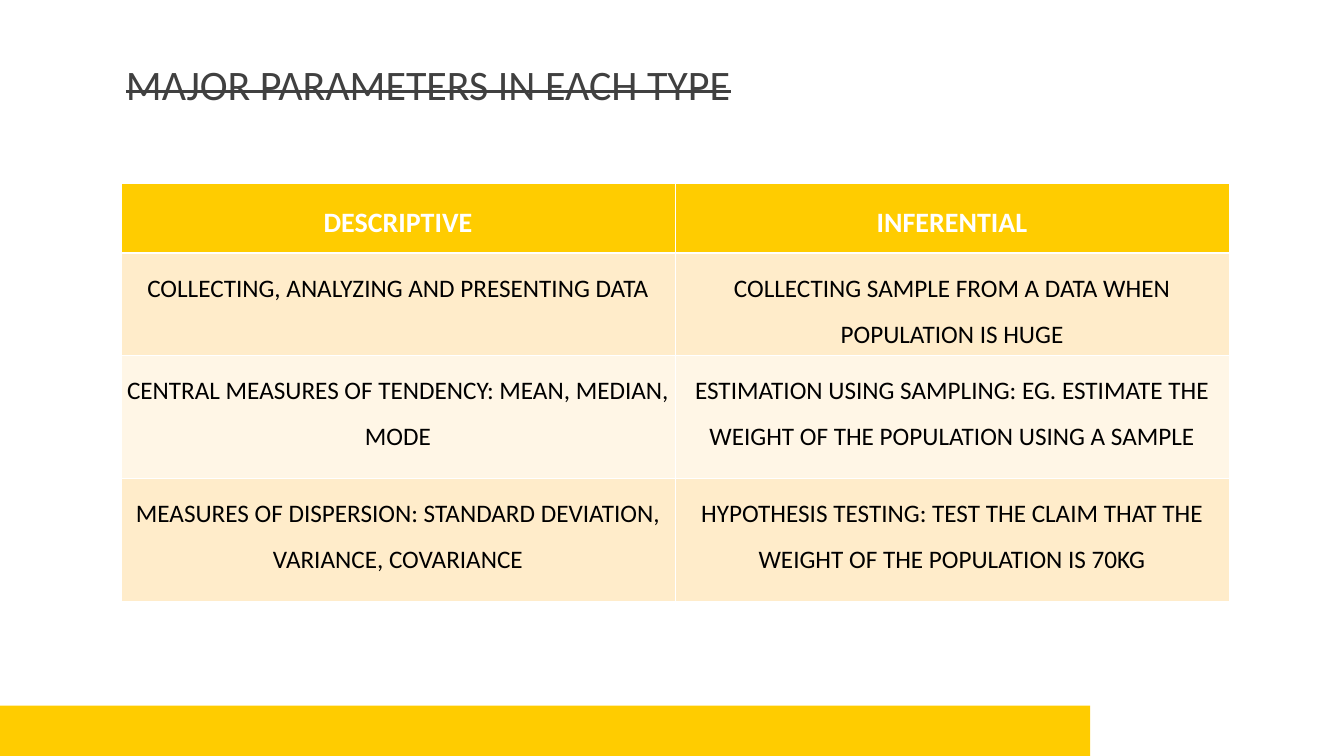
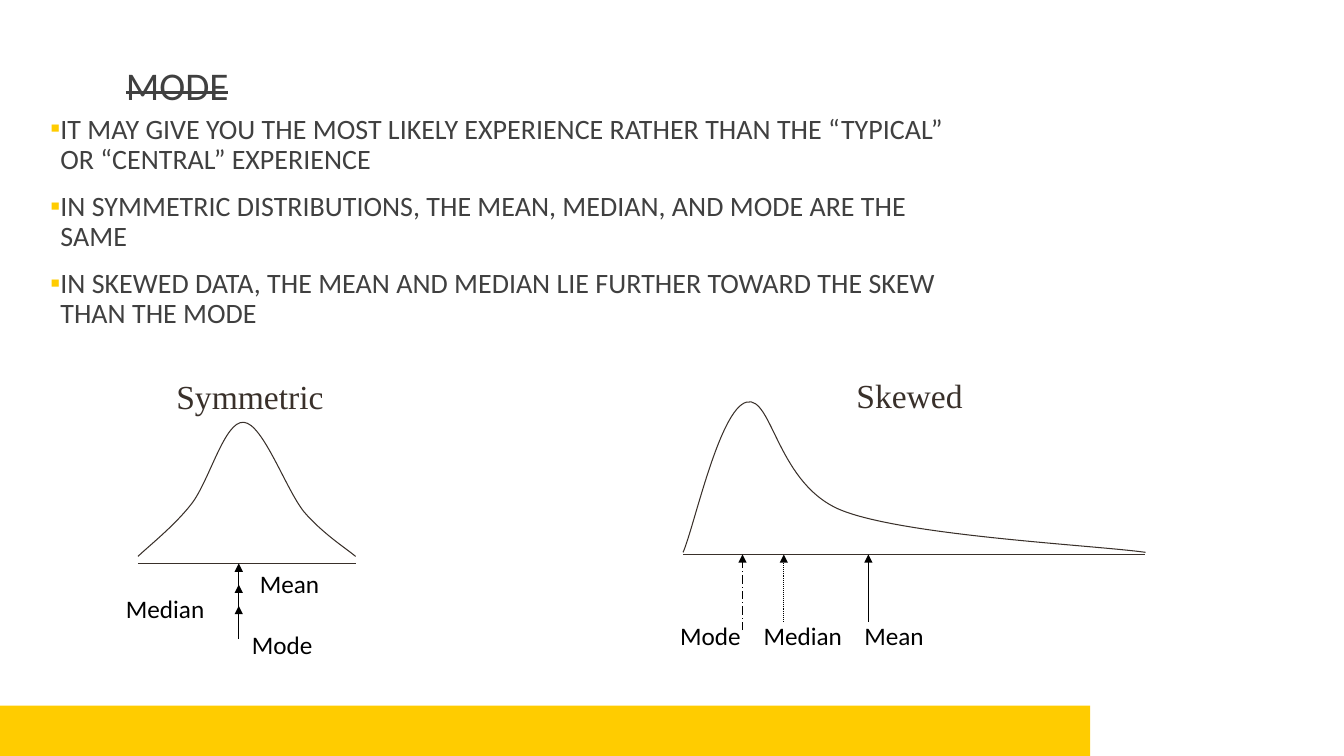
from dataclasses import dataclass

from lxml import etree
from pptx import Presentation
from pptx.dml.color import RGBColor
from pptx.enum.dml import MSO_LINE
from pptx.enum.shapes import MSO_CONNECTOR, MSO_SHAPE
from pptx.enum.text import MSO_ANCHOR, MSO_AUTO_SIZE, PP_ALIGN
from pptx.oxml.ns import qn
from pptx.util import Inches, Pt

STRAIGHT, RECTANGLE = MSO_CONNECTOR.STRAIGHT, MSO_SHAPE.RECTANGLE
DOTTED, DASH_DOT = MSO_LINE.ROUND_DOT, MSO_LINE.LONG_DASH_DOT
LEFT, CENTER = PP_ALIGN.LEFT, PP_ALIGN.CENTER
BOTTOM = MSO_ANCHOR.BOTTOM
NO_FIT = MSO_AUTO_SIZE.NONE


@dataclass(frozen=True)
class Theme:
    accent: str = "FFCC00"
    ink: str = "404040"
    curve: str = "39302A"
    black: str = "000000"
    white: str = "FFFFFF"
    row_tints: tuple = ("FFF6E6", "FFECCA")
    font: str = "Calibri"
    heading_font: str = "Times New Roman"
    body_size: int = 20
    label_size: int = 18
    heading_size: int = 24
    line_width: float = 0.75


theme = Theme()


def write(frame, text, size, color, font=theme.font, align=LEFT, spacing=1.0):
    """Fill a text frame with one paragraph and return it."""
    frame.word_wrap = True
    frame.margin_left = frame.margin_right = Inches(0.05)
    frame.margin_top = frame.margin_bottom = Inches(0.05)
    para = frame.paragraphs[0]
    para.text = text
    para.alignment, para.line_spacing = align, spacing
    para.font.size, para.font.name = Pt(size), font
    para.font.color.rgb = RGBColor.from_string(color)
    return para


def draw_line(page, start, end, color, dash=None, arrow=False):
    """Draw a straight line, with an arrowhead at its end if asked."""
    line = page.shapes.add_connector(STRAIGHT, *map(Inches, start + end))
    line.line.color.rgb = RGBColor.from_string(color)
    line.line.width = Pt(theme.line_width)
    if dash is not None:
        line.line.dash_style = dash
    properties = line.element.spPr
    if arrow:
        etree.SubElement(properties.find(qn("a:ln")), qn("a:tailEnd"), type="triangle")
    etree.SubElement(properties, qn("a:effectLst"))


deck = Presentation()
deck.slide_width, deck.slide_height = Inches(13.34), Inches(7.5)
title_only = deck.slide_layouts[5]

# Pages with their struck-through titles
pages = []
for title_text, title_size in (("MAJOR PARAMETERS IN EACH TYPE", 30), ("MODE", 28)):
    page = deck.slides.add_slide(title_only)
    title = page.shapes.title
    title.left, title.top, title.width, title.height = map(Inches, (1.2, 0.31, 11, 0.82))
    title.text_frame.auto_size = NO_FIT
    title.text_frame.vertical_anchor = BOTTOM
    para = write(title.text_frame, title_text, title_size, theme.ink, spacing=0.85)
    para.font._element.set("strike", "sngStrike")
    pages.append(page)
table_page, mode_page = pages

# Bottom band, moved to the layout that both pages use
band = table_page.shapes.add_shape(RECTANGLE, 0, Inches(7), Inches(10.82), Inches(0.5))
band.shadow.inherit = False
band.fill.solid()
band.fill.fore_color.rgb = RGBColor.from_string(theme.accent)
band.line.fill.background()
title_only.shapes.element.insert(2, band.element)

# Comparison table
ROWS = [
    ("DESCRIPTIVE", "INFERENTIAL"),
    ("COLLECTING, ANALYZING AND PRESENTING DATA",
     "COLLECTING SAMPLE FROM A DATA WHEN POPULATION IS HUGE"),
    ("CENTRAL MEASURES OF TENDENCY: MEAN, MEDIAN, MODE",
     "ESTIMATION USING SAMPLING: EG. ESTIMATE THE WEIGHT OF THE POPULATION USING A SAMPLE"),
    ("MEASURES OF DISPERSION: STANDARD DEVIATION, VARIANCE, COVARIANCE",
     "HYPOTHESIS TESTING: TEST THE CLAIM THAT THE WEIGHT OF THE POPULATION IS 70KG"),
]
ROW_HEIGHTS = (0.69, 1, 1.22, 1.22)
table = table_page.shapes.add_table(
    len(ROWS), 2, Inches(1.2), Inches(1.82), Inches(11), Inches(sum(ROW_HEIGHTS))).table
for row_index, (texts, height) in enumerate(zip(ROWS, ROW_HEIGHTS)):
    table.rows[row_index].height = Inches(height)
    header = row_index == 0
    for column_index, text in enumerate(texts):
        cell = table.cell(row_index, column_index)
        cell.margin_left = cell.margin_right = Inches(0.05)
        cell.margin_top = cell.margin_bottom = Inches(0.05)
        para = write(cell.text_frame, text,
                     theme.body_size if header else theme.label_size,
                     theme.white if header else theme.black, align=CENTER, spacing=1.5)
        para.font.bold = header
        cell.fill.solid()
        cell.fill.fore_color.rgb = RGBColor.from_string(
            theme.accent if header else theme.row_tints[row_index % 2])
        # White borders, heavier below the header
        heavy_side = {0: "lnB", 1: "lnT"}.get(row_index)
        for position, side in enumerate(("lnL", "lnR", "lnT", "lnB")):
            width = Pt(1.47 if side == heavy_side else 0.45)
            border = etree.Element(qn(f"a:{side}"), w=str(width))
            fill = etree.SubElement(border, qn("a:solidFill"))
            etree.SubElement(fill, qn("a:srgbClr"), val=theme.white)
            cell._tc.get_or_add_tcPr().insert(position, border)

# Bullets
BULLETS = [
    "IT MAY GIVE YOU THE MOST LIKELY EXPERIENCE RATHER THAN THE “TYPICAL” OR “CENTRAL” EXPERIENCE",
    "IN SYMMETRIC DISTRIBUTIONS, THE MEAN, MEDIAN, AND MODE ARE THE SAME",
    "IN SKEWED DATA, THE MEAN AND MEDIAN LIE FURTHER TOWARD THE SKEW THAN THE MODE",
]
box = mode_page.shapes.add_textbox(Inches(0.5), Inches(1.14), Inches(9), Inches(4.82))
frame = box.text_frame
frame.word_wrap = True
frame.margin_left = frame.margin_right = frame.margin_top = frame.margin_bottom = 0
for index, text in enumerate(BULLETS):
    para = frame.add_paragraph() if index else frame.paragraphs[0]
    para.text = text
    para.line_spacing = 0.9
    if index:
        para.space_before = Pt(12)
    properties = para._p.get_or_add_pPr()
    properties.set("marL", str(Inches(0.1)))
    properties.set("indent", str(Inches(-0.1)))
    bullet_color = etree.SubElement(properties, qn("a:buClr"))
    etree.SubElement(bullet_color, qn("a:srgbClr"), val=theme.accent)
    etree.SubElement(properties, qn("a:buFont"), typeface=theme.font)
    etree.SubElement(properties, qn("a:buChar"), char="▪")
    para.font.size, para.font.name = Pt(theme.body_size), theme.font
    para.font.color.rgb = RGBColor.from_string(theme.ink)

# Distribution curves: a start point, then cubic segments (two controls and an end)
SYMMETRIC = [(1.37, 5.52),
             (1.45, 5.44), (1.73, 5.22), (1.9, 5),
             (2.08, 4.77), (2.23, 4.17), (2.42, 4.19),
             (2.61, 4.2), (2.84, 4.86), (3.02, 5.08),
             (3.21, 5.3), (3.45, 5.45), (3.53, 5.52)]
SKEWED = [(6.78, 5.48),
          (6.89, 5.23), (7.14, 4.06), (7.41, 3.99),
          (7.67, 3.92), (7.71, 4.82), (8.37, 5.07),
          (9.03, 5.32), (10.87, 5.41), (11.37, 5.48)]
for knots, axis_y in ((SYMMETRIC, 5.59), (SKEWED, 5.5)):
    builder = mode_page.shapes.build_freeform(*map(Inches, knots[0]))
    builder.add_line_segments([tuple(map(Inches, knot)) for knot in knots[1:]], close=False)
    curve = builder.convert_to_shape()
    # Turn every three straight segments into one cubic segment
    segments = list(curve.element.iter(qn("a:lnTo")))
    outline = segments[0].getparent()
    for first in range(0, len(segments), 3):
        cubic = etree.SubElement(outline, qn("a:cubicBezTo"))
        for segment in segments[first:first + 3]:
            cubic.append(segment[0])
            outline.remove(segment)
    curve.shadow.inherit = False
    curve.fill.background()
    curve.line.color.rgb = RGBColor.from_string(theme.curve)
    curve.line.width = Pt(theme.line_width)
    draw_line(mode_page, (knots[0][0], axis_y), (knots[-1][0], axis_y), theme.curve)

# Arrows to the axes: x, from y, to y, dash
ARROWS = [
    (2.37, 5.93, 5.59, None), (2.37, 6.14, 5.8, None), (2.37, 6.34, 6.01, None),
    (7.37, 6.25, 5.5, DASH_DOT), (7.78, 6.17, 5.5, DOTTED), (8.62, 6.17, 5.5, None),
]
for x, start_y, end_y, dash in ARROWS:
    draw_line(mode_page, (x, start_y), (x, end_y), theme.black, dash, arrow=True)

# Curve headings and arrow labels
label_style = (theme.label_size, theme.black, theme.font)
heading_style = (theme.heading_size, theme.curve, theme.heading_font)
LABELS = [
    ("Symmetric", 1.7, 3.68, 2.08, 0.5, heading_style),
    ("Mean", 2.53, 5.59, 1.33, 0.4, label_style),
    ("Median", 1.2, 5.84, 1.42, 0.4, label_style),
    ("Mode", 2.45, 6.19, 1.08, 0.4, label_style),
    ("Skewed", 8.45, 3.67, 2.08, 0.5, heading_style),
    ("Mode", 6.7, 6.1, 1.08, 0.4, label_style),
    ("Median", 7.53, 6.1, 1.42, 0.4, label_style),
    ("Mean", 8.53, 6.1, 1.33, 0.4, label_style),
]
for text, left, top, width, height, style in LABELS:
    box = mode_page.shapes.add_textbox(*map(Inches, (left, top, width, height)))
    write(box.text_frame, text, *style)

deck.save("out.pptx")
